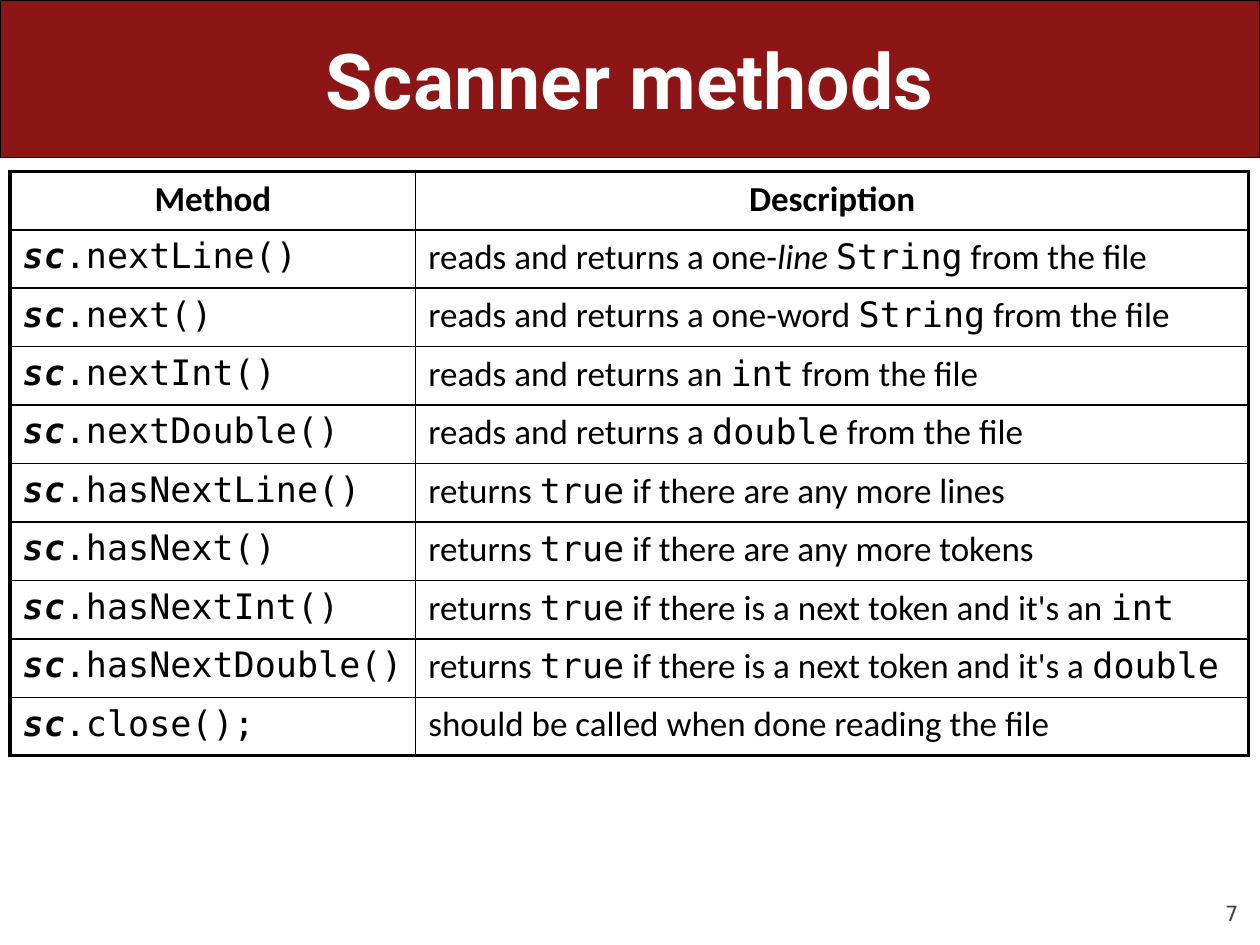
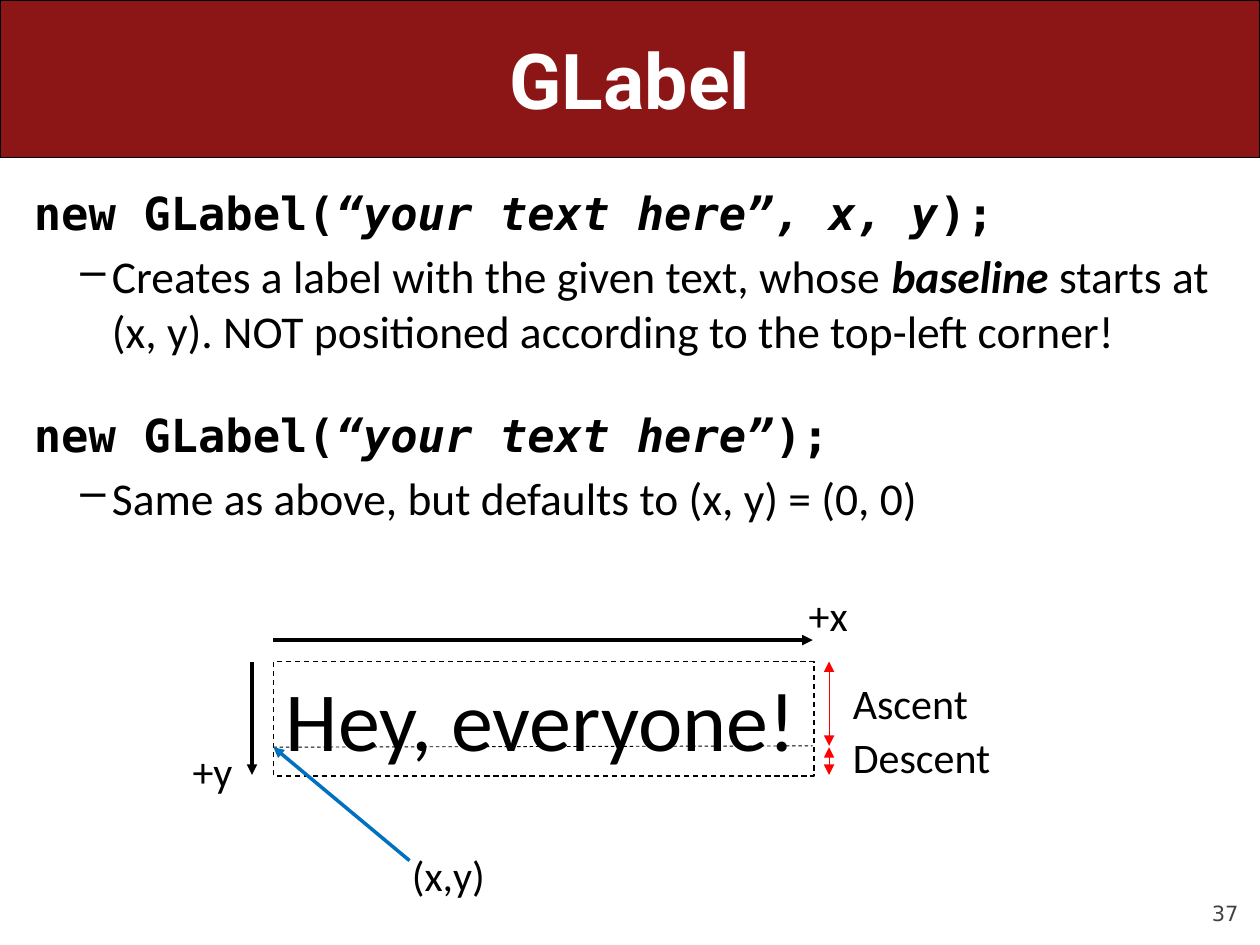
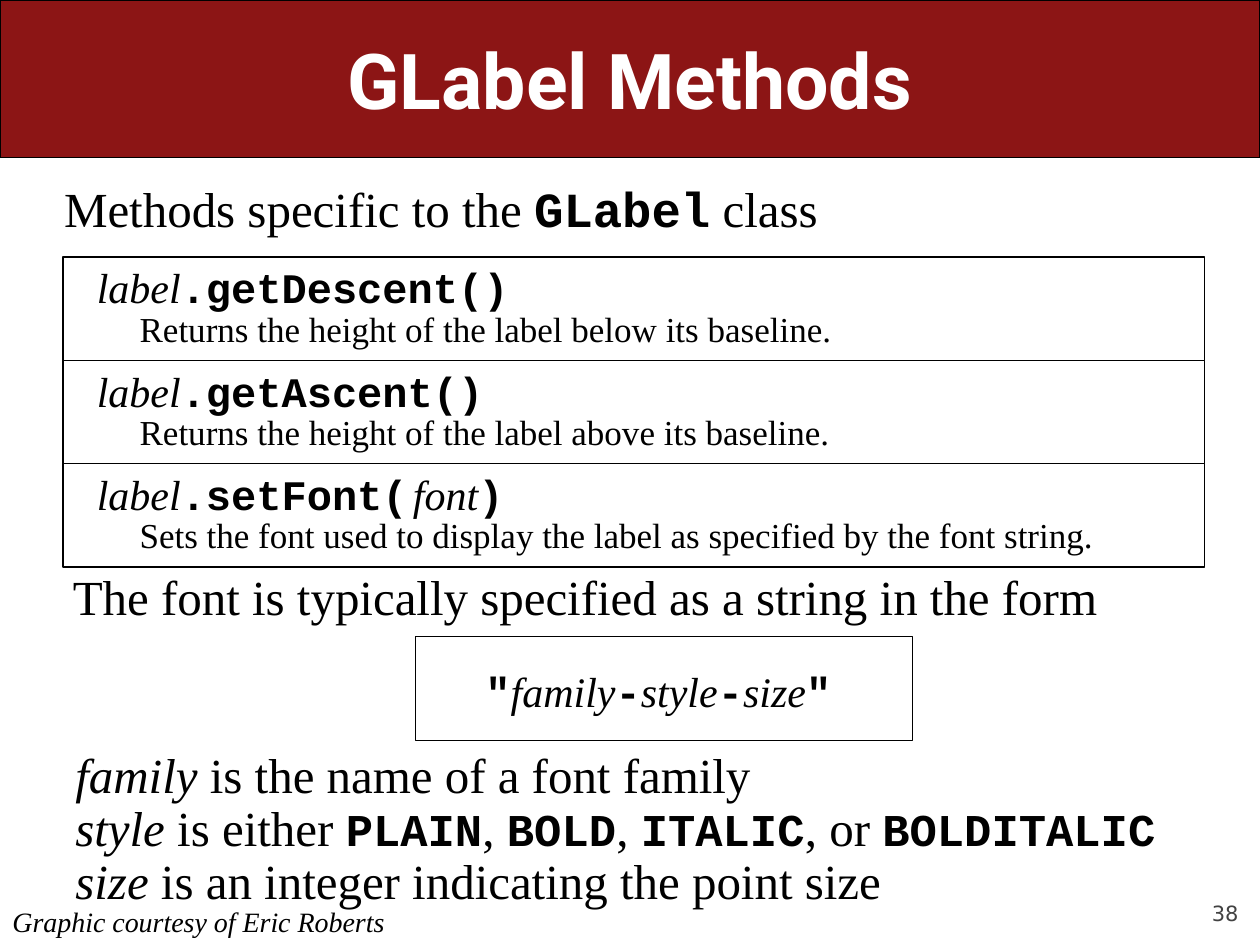
"""Builds three lecture slides on Scanner and GLabel methods."""
from dataclasses import dataclass, replace
from itertools import cycle
from typing import NamedTuple, Optional

from lxml import etree
from pptx import Presentation
from pptx.dml.color import RGBColor
from pptx.enum.dml import MSO_LINE
from pptx.enum.shapes import MSO_CONNECTOR, MSO_SHAPE
from pptx.enum.text import MSO_ANCHOR, PP_ALIGN
from pptx.oxml.ns import qn
from pptx.util import Inches, Pt

CARDINAL = RGBColor(0x8C, 0x15, 0x15)
BLACK = RGBColor(0, 0, 0)
WHITE = RGBColor(255, 255, 255)
GRAY = RGBColor(0x42, 0x42, 0x42)
RED = RGBColor(255, 0, 0)
BLUE = RGBColor(0, 0x70, 0xC0)

LEFT, CENTER, RIGHT = PP_ALIGN.LEFT, PP_ALIGN.CENTER, PP_ALIGN.RIGHT
JUSTIFY = PP_ALIGN.JUSTIFY
TOP, MIDDLE, BOTTOM = MSO_ANCHOR.TOP, MSO_ANCHOR.MIDDLE, MSO_ANCHOR.BOTTOM
DASH = MSO_LINE.DASH
STRAIGHT = MSO_CONNECTOR.STRAIGHT
RECTANGLE, ROUNDED = MSO_SHAPE.RECTANGLE, MSO_SHAPE.ROUNDED_RECTANGLE

TITLE_ONLY = 5
THIN, THICK = 1, 2.25


@dataclass(frozen=True)
class Style:
    font: str
    size: float
    bold: bool = False
    italic: bool = False
    color: RGBColor = BLACK


class Span(NamedTuple):
    text: str
    style: Style


@dataclass(frozen=True)
class Para:
    spans: list[Span]
    align: PP_ALIGN = LEFT
    before: float = 0
    spacing: Optional[float] = None
    dashed: bool = False


class Area(NamedTuple):
    left: float
    top: float
    width: float
    height: float


class Arrow(NamedTuple):
    start: tuple[float, float]
    end: tuple[float, float]
    color: RGBColor
    width: float
    ends: tuple[str, ...] = ("tailEnd",)


class Method(NamedTuple):
    call: list[Span]
    description: str


TITLE = Style("Roboto", 44, bold=True, color=WHITE)
NUMBER = Style("DejaVu Sans", 12, color=GRAY)

CELL = Style("Calibri", 20)
CELL_BOLD = replace(CELL, bold=True)
CELL_ITALIC = replace(CELL, italic=True)
CELL_CODE = Style("DejaVu Sans Mono", 20)
CELL_OBJECT = replace(CELL_CODE, bold=True, italic=True)

BODY = Style("Calibri", 26)
BODY_STRONG = replace(BODY, bold=True, italic=True)
BODY_CODE = Style("DejaVu Sans Mono", 26, bold=True)
BODY_ARGUMENT = replace(BODY_CODE, italic=True)
NOTE = Style("Calibri", 24)
SAMPLE = Style("Calibri", 48)

SERIF = Style("Times New Roman", 28)
SERIF_ITALIC = replace(SERIF, italic=True)
COURIER = Style("Courier New", 28, bold=True)
CONSTANT = replace(COURIER, size=26)
CALL_NAME = replace(SERIF_ITALIC, size=24)
CALL_CODE = replace(COURIER, size=24)
CALL_GAP = replace(COURIER, size=5)
DETAIL = replace(SERIF, size=20)
CREDIT = replace(SERIF_ITALIC, size=16)

SCANNER_METHODS = [
    ("nextLine()", "reads and returns a one-|line |String| from the file",
     (CELL, CELL_ITALIC, CELL_CODE, CELL)),
    ("next()", "reads and returns a one-word |String| from the file", (CELL, CELL_CODE)),
    ("nextInt()", "reads and returns an |int| from the file", (CELL, CELL_CODE)),
    ("nextDouble()", "reads and returns a |double| from the file", (CELL, CELL_CODE)),
    ("hasNextLine()", "returns |true| if there are any more lines", (CELL, CELL_CODE)),
    ("hasNext()", "returns |true| if there are any more tokens", (CELL, CELL_CODE)),
    ("hasNextInt()", "returns |true| if there is a next token and it's an |int",
     (CELL, CELL_CODE)),
    ("hasNextDouble()", "returns |true| if there is a next token and it's a |double",
     (CELL, CELL_CODE)),
    ("close();", "should be called when done reading the file", (CELL,)),
]


def mixed(text: str, *styles: Style) -> list[Span]:
    """Split text at bars and give the parts the styles in turn."""
    return [Span(part, style) for part, style in zip(text.split("|"), cycle(styles))]


def write(frame, paras: list[Para]) -> None:
    """Fill a text frame with formatted paragraphs."""
    for index, item in enumerate(paras):
        para = frame.add_paragraph() if index else frame.paragraphs[0]
        if item.dashed:
            para.level = 1
            properties = para._p.get_or_add_pPr()
            properties.set("marL", str(Inches(0.62)))
            properties.set("indent", str(Inches(-0.25)))
            etree.SubElement(properties, qn("a:buChar")).set("char", "–")
        para.alignment = item.align
        para.space_before = Pt(item.before)
        if item.spacing:
            para.line_spacing = item.spacing
        for span in item.spans:
            run = para.add_run()
            run.text = span.text
            run.font.name = span.style.font
            run.font.size = Pt(span.style.size)
            run.font.bold = span.style.bold
            run.font.italic = span.style.italic
            run.font.color.rgb = span.style.color


def add_text(page, area: Area, *paras: Para, anchor: MSO_ANCHOR = TOP):
    """Add a wrapping text box."""
    box = page.shapes.add_textbox(*map(Inches, area))
    box.text_frame.word_wrap = True
    box.text_frame.vertical_anchor = anchor
    write(box.text_frame, list(paras))
    return box


def add_block(page, area: Area, fill: RGBColor = WHITE, kind: MSO_SHAPE = RECTANGLE):
    """Add a filled block with a thin black outline."""
    block = page.shapes.add_shape(kind, *map(Inches, area))
    block.shadow.inherit = False
    block.fill.solid()
    block.fill.fore_color.rgb = fill
    block.line.color.rgb = BLACK
    block.line.width = Pt(0.75)
    return block


def add_line(page, arrow: Arrow):
    """Add a straight line with arrowheads at the listed ends."""
    line = page.shapes.add_connector(STRAIGHT, *map(Inches, arrow.start + arrow.end))
    line.line.color.rgb = arrow.color
    line.line.width = Pt(arrow.width)
    for end in arrow.ends:
        etree.SubElement(line.line._ln, qn(f"a:{end}")).set("type", "triangle")
    etree.SubElement(line._element.spPr, qn("a:effectLst"))
    return line


def add_page(deck, heading: str, number: int):
    """Add a page with the title band and the page number."""
    page = deck.slides.add_slide(deck.slide_layouts[TITLE_ONLY])
    band = add_block(page, Area(0, 0, 10, 1.25), CARDINAL, ROUNDED)
    band.adjustments[0] = 0
    title = page.shapes.title
    title.element.addprevious(band.element)
    title.left, title.top, title.width, title.height = map(Inches, (0.5, 0, 9, 1.25))
    title.text_frame.vertical_anchor = MIDDLE
    write(title.text_frame, [Para([Span(heading, TITLE)], CENTER)])
    box = add_text(page, Area(9, 6.95, 0.83, 0.4),
                   Para([Span(str(number), NUMBER)], RIGHT), anchor=BOTTOM)
    frame = box.text_frame
    frame.margin_left = frame.margin_right = frame.margin_top = frame.margin_bottom = 0
    return page


def set_borders(cell, widths: dict[str, float]) -> None:
    """Draw black cell borders of the given widths."""
    properties = cell._tc.get_or_add_tcPr()
    for side, width in widths.items():
        line = etree.SubElement(properties, qn(f"a:ln{side}"), w=str(Pt(width)))
        fill = etree.SubElement(line, qn("a:solidFill"))
        etree.SubElement(fill, qn("a:srgbClr")).set("val", str(BLACK))


def build_scanner(deck) -> None:
    """Build the table of Scanner methods."""
    page = add_page(deck, "Scanner methods", 7)
    rows = [[Para([Span(name, CELL_BOLD)], CENTER) for name in ("Method", "Description")]]
    for call, description, styles in SCANNER_METHODS:
        rows.append([Para(mixed(f"sc|.{call}", CELL_OBJECT, CELL_CODE)),
                     Para(mixed(description, *styles))])
    area = Area(0.08, 1.36, 9.83, 4.64)
    table = page.shapes.add_table(len(rows), 2, *map(Inches, area)).table
    table.first_row = table.horz_banding = False
    for column, width in zip(table.columns, (3.22, 6.61)):
        column.width = Inches(width)
    last = len(rows) - 1
    for row_index, row in enumerate(rows):
        table.rows[row_index].height = Inches(area.height / len(rows))
        for column_index, para in enumerate(row):
            cell = table.cell(row_index, column_index)
            set_borders(cell, {
                "L": THICK if column_index == 0 else THIN,
                "R": THICK if column_index == 1 else THIN,
                "T": THICK if row_index == 0 else THIN,
                "B": THICK if row_index == last else THIN,
            })
            cell.fill.background()
            write(cell.text_frame, [para])


def build_label(deck) -> None:
    """Build the GLabel constructors and the baseline diagram."""
    page = add_page(deck, "GLabel", 37)
    add_text(
        page, Area(0.17, 1.42, 9.67, 5.67),
        Para(mixed("new GLabel(|“your text here”, x, y|);", BODY_CODE, BODY_ARGUMENT)),
        Para(mixed("Creates a label with the given text, whose |baseline| starts at (x, y). "
                   "NOT positioned according to the top-left corner!", BODY, BODY_STRONG),
             before=5, dashed=True),
        Para(mixed("new GLabel(|“your text here”|);", BODY_CODE, BODY_ARGUMENT), before=28),
        Para([Span("Same as above, but defaults to (x, y) = (0, 0)", BODY)],
             before=5, dashed=True),
    )

    left, right, top, baseline, bottom = 2.17, 6.45, 5.25, 5.93, 6.15
    measure = 6.58
    both = ("headEnd", "tailEnd")
    sample = add_text(page, Area(left, top, 4.29, 0.91),
                      Para([Span("Hey, everyone!", SAMPLE)]))
    sample.line.color.rgb = BLACK
    sample.line.width = Pt(0.75)
    sample.line.dash_style = DASH
    guide = add_line(page, Arrow((left, baseline), (right, 5.92), BLACK, 0.5, ()))
    guide.line.dash_style = DASH
    for arrow in (
        Arrow((measure, top), (measure, 5.92), RED, 0.5, both),
        Arrow((measure, baseline), (measure, bottom), RED, 0.5, both),
        Arrow((3.25, 6.83), (left, baseline), BLUE, 2),
        Arrow((left, 5.08), (right, 5.08), BLACK, 2),
        Arrow((2, top), (2, bottom), BLACK, 2),
    ):
        add_line(page, arrow)
    for text, area in (
        ("Ascent", Area(6.67, 5.33, 1.17, 0.5)),
        ("Descent", Area(6.67, 5.76, 1.45, 0.5)),
        ("(x,y)", Area(3.17, 6.69, 0.92, 0.5)),
        ("+y", Area(1.43, 5.87, 0.53, 0.5)),
        ("+x", Area(6.32, 4.63, 0.53, 0.5)),
    ):
        add_text(page, area, Para([Span(text, NOTE)]))


def build_label_methods(deck) -> None:
    """Build the list of GLabel methods and the font string format."""
    page = add_page(deck, "GLabel Methods", 38)
    add_text(page, Area(0.41, 1.42, 9.15, 0.54),
             Para(mixed("Methods specific to the |GLabel| class", SERIF, COURIER),
                  JUSTIFY, spacing=0.9))
    methods = [
        Method(mixed("label|.getDescent()", CALL_NAME, CALL_CODE),
               "Returns the height of the label below its baseline."),
        Method(mixed("label|.getAscent()", CALL_NAME, CALL_CODE),
               "Returns the height of the label above its baseline."),
        Method(mixed("label|.setFont(| |font|)",
                     CALL_NAME, CALL_CODE, CALL_GAP, CALL_NAME, CALL_CODE),
               "Sets the font used to display the label as specified by the font string."),
    ]
    height = 0.82
    for index, method in enumerate(methods):
        top = 2.04 + index * height
        add_block(page, Area(0.5, top, 9.06, height))
        add_text(page, Area(0.67, top - 0.01, 8.73, 0.5), Para(method.call))
        add_text(page, Area(1.01, top + 0.35, 8.47, 0.44),
                 Para([Span(method.description, DETAIL)]))

    add_text(page, Area(0.48, 4.5, 9, 0.52),
             Para([Span("The font is typically specified as a string in the form", SERIF)],
                  JUSTIFY, spacing=0.9))
    add_block(page, Area(3.3, 5.05, 3.94, 0.83))
    add_text(page, Area(3.5, 5.23, 3.45, 0.5),
             Para(mixed('"|family|-|style|-|size|"', CALL_CODE, CALL_NAME), CENTER))
    parts = [
        mixed("family| is the name of a font family", SERIF_ITALIC, SERIF),
        mixed("style", SERIF_ITALIC)
        + mixed(" is either |PLAIN|, |BOLD|, |ITALIC|, or |BOLDITALIC", SERIF, CONSTANT),
        mixed("size| is an integer indicating the point size", SERIF_ITALIC, SERIF),
    ]
    add_text(page, Area(0.5, 5.91, 9, 1.36),
             *(Para(spans, JUSTIFY, spacing=0.9) for spans in parts))
    add_text(page, Area(0, 7.13, 5.41, 0.37),
             Para([Span("Graphic courtesy of Eric Roberts", CREDIT)]))


def main() -> None:
    """Build and save the deck."""
    deck = Presentation()
    deck.slide_width, deck.slide_height = Inches(10), Inches(7.5)
    build_scanner(deck)
    build_label(deck)
    build_label_methods(deck)
    deck.save("out.pptx")


if __name__ == "__main__":
    main()
